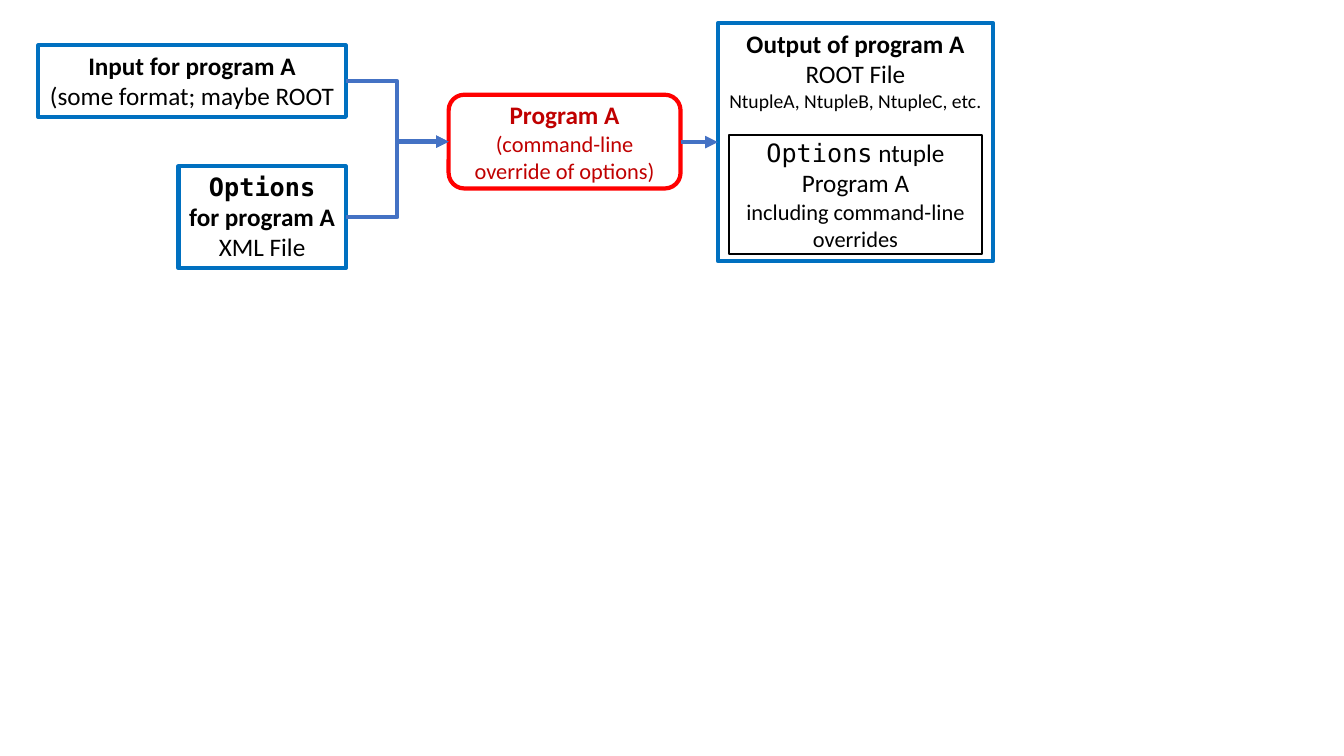
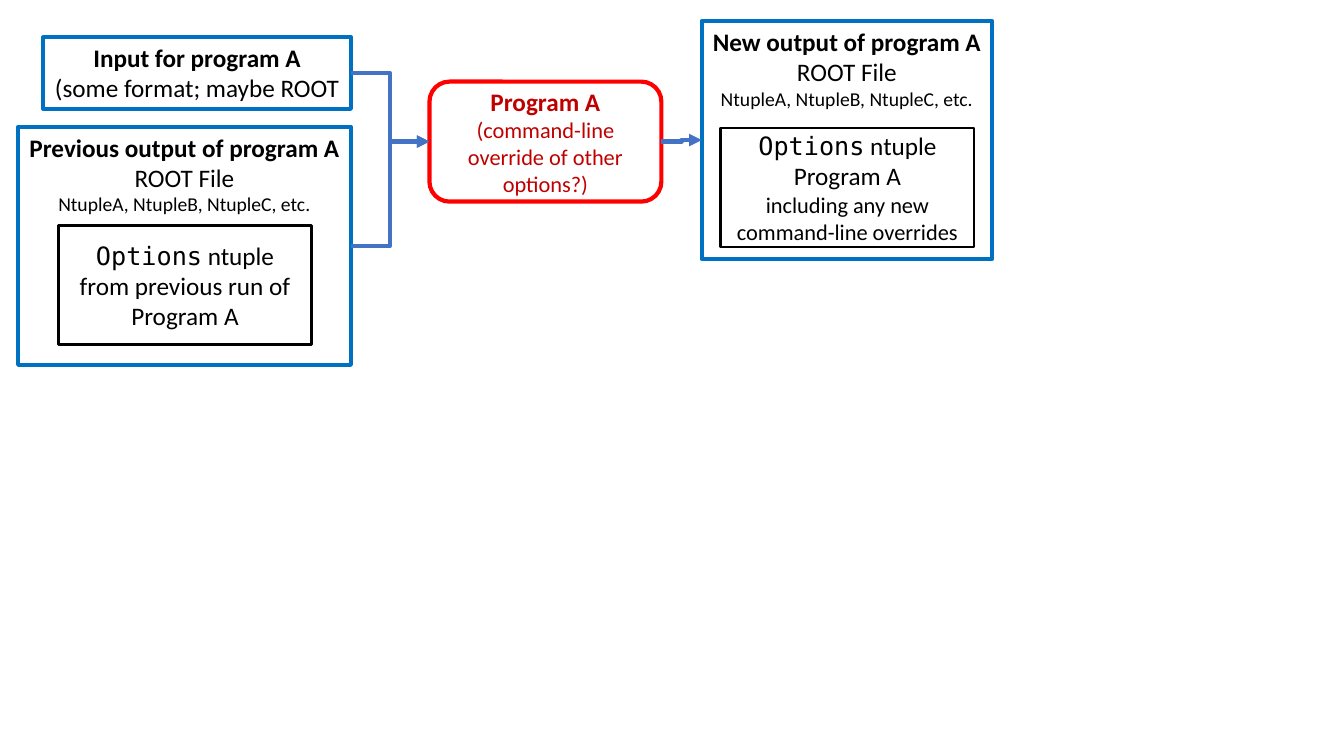
from dataclasses import dataclass

from lxml.etree import SubElement
from pptx import Presentation
from pptx.dml.color import RGBColor
from pptx.enum.shapes import MSO_CONNECTOR, MSO_SHAPE
from pptx.enum.text import MSO_ANCHOR, PP_ALIGN
from pptx.oxml.ns import qn
from pptx.util import Pt

EMU_PER_PX = 9144  # 100 px to the inch
LEFT_SITE, RIGHT_SITE = 1, 3


@dataclass(frozen=True)
class Theme:
    text: RGBColor = RGBColor(0x00, 0x00, 0x00)
    paper: RGBColor = RGBColor(0xFF, 0xFF, 0xFF)
    file_line: RGBColor = RGBColor(0x00, 0x70, 0xC0)
    program_line: RGBColor = RGBColor(0xFF, 0x00, 0x00)
    program_text: RGBColor = RGBColor(0xC0, 0x00, 0x00)
    arrow: RGBColor = RGBColor(0x44, 0x72, 0xC4)
    font: str = "Calibri"
    code_font: str = "DejaVu Sans Mono"
    body: int = 18
    detail: int = 16
    small: int = 14
    thick: int = 3
    thin: int = 2


THEME = Theme()


@dataclass(frozen=True)
class Line:
    """One paragraph: a part in the code font, then plain text."""
    text: str = ""
    code: str = ""
    size: int = THEME.body
    bold: bool = False


OPTIONS_NTUPLE = Line(" ntuple", code="Options")


def px(length):
    return length * EMU_PER_PX


def write_lines(frame, lines, color):
    for index, line in enumerate(lines):
        paragraph = frame.paragraphs[0] if index == 0 else frame.add_paragraph()
        paragraph.alignment = PP_ALIGN.CENTER
        font = paragraph.font
        font.name, font.size, font.bold = THEME.font, Pt(line.size), line.bold
        font.color.rgb = color
        if line.code:
            run = paragraph.add_run()
            run.text = line.code
            run.font.name = THEME.code_font
        if line.text:
            paragraph.add_run().text = line.text


def add_box(slide, bounds, lines, line_color, preset=MSO_SHAPE.RECTANGLE,
            width=THEME.thick, color=THEME.text, fill=None,
            anchor=MSO_ANCHOR.MIDDLE, wrap=True):
    shape = slide.shapes.add_shape(preset, *map(px, bounds))
    shape.shadow.inherit = False
    if fill is None:
        shape.fill.background()
    else:
        shape.fill.solid()
        shape.fill.fore_color.rgb = fill
    shape.line.color.rgb = line_color
    shape.line.width = Pt(width)
    frame = shape.text_frame
    frame.word_wrap = wrap
    frame.vertical_anchor = anchor
    write_lines(frame, lines, color)
    return shape


def add_file(slide, bounds, lines):
    return add_box(slide, bounds, lines, THEME.file_line,
                   anchor=MSO_ANCHOR.TOP, wrap=False)


def add_input(slide, left, top):
    return add_file(slide, (left, top, 305, 71), [
        Line("Input for program A", bold=True),
        Line("(some format; maybe ROOT"),
    ])


def add_program(slide, bounds, detail):
    return add_box(slide, bounds, [
        Line("Program A", bold=True),
        Line(detail, size=THEME.detail),
    ], THEME.program_line, MSO_SHAPE.ROUNDED_RECTANGLE, color=THEME.program_text)


def add_root_file(slide, left, top, width, title, options_at, options_lines):
    """Draw a ROOT file box that holds an options ntuple."""
    root_file = add_file(slide, (left, top, width, 236), [
        Line(title, bold=True),
        Line("ROOT File"),
        Line("NtupleA, NtupleB, NtupleC, etc.", size=THEME.small),
    ])
    add_box(slide, (*options_at, 251, 118), [OPTIONS_NTUPLE, *options_lines],
            THEME.text, width=THEME.thin, fill=THEME.paper)
    return root_file


def add_arrow(slide, source, target):
    arrow = slide.shapes.add_connector(MSO_CONNECTOR.ELBOW, 0, 0, 0, 0)
    arrow.begin_connect(source, RIGHT_SITE)
    arrow.end_connect(target, LEFT_SITE)
    arrow.line.color.rgb = THEME.arrow
    arrow.line.width = Pt(THEME.thick)
    SubElement(arrow.line._get_or_add_ln(), qn("a:tailEnd"), type="triangle")
    SubElement(arrow._element.spPr, qn("a:effectLst"))


def add_flow(slide, sources, program, output):
    for source in sources:
        add_arrow(slide, source, program)
    add_arrow(slide, program, output)


def build_first_run(slide):
    options = add_file(slide, (177, 165, 166, 101), [
        Line(code="Options", bold=True),
        Line("for program A", bold=True),
        Line("XML File"),
    ])
    data = add_input(slide, 38, 45)
    program = add_program(slide, (445, 94, 230, 93),
                          "(command-line override of options)")
    output = add_root_file(
        slide, 712, 23, 273, "Output of program A", (723, 134),
        [Line("Program A"),
         Line("including command-line overrides", size=THEME.detail)])
    add_flow(slide, (options, data), program, output)


def build_second_run(slide):
    data = add_input(slide, 43, 37)
    previous = add_root_file(
        slide, 18, 126, 330, "Previous output of program A", (58, 224),
        [Line("from previous run of Program A")])
    program = add_program(slide, (426, 81, 230, 119),
                          "(command-line override of other options?)")
    output = add_root_file(
        slide, 696, 21, 288, "New output of program A", (715, 127),
        [Line("Program A"),
         Line("including any new command-line overrides", size=THEME.detail)])
    add_flow(slide, (previous, data), program, output)


def main():
    presentation = Presentation()
    presentation.slide_width, presentation.slide_height = px(1333), px(750)
    blank = presentation.slide_layouts[6]
    for build in (build_first_run, build_second_run):
        build(presentation.slides.add_slide(blank))
    presentation.save("out.pptx")


if __name__ == "__main__":
    main()
